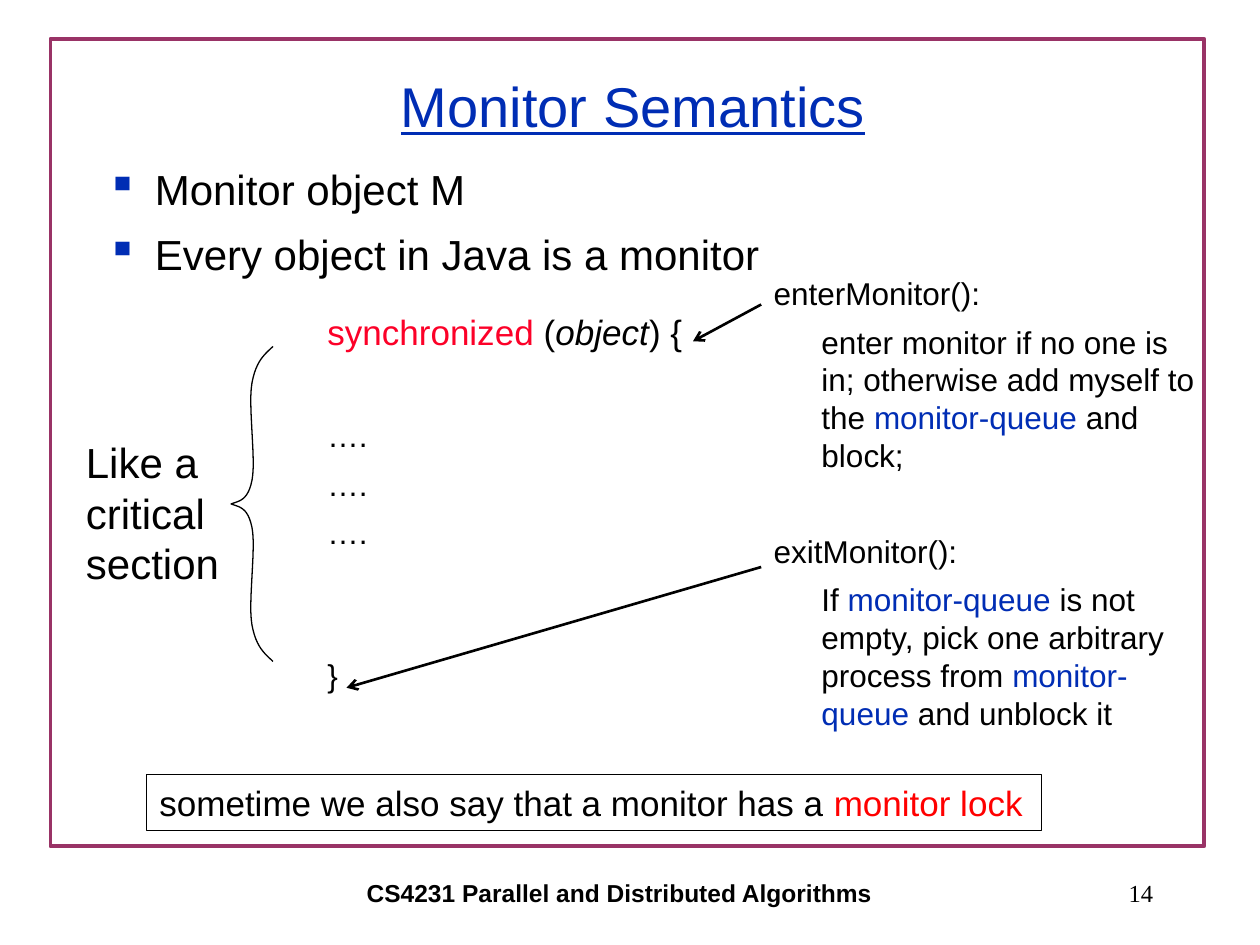
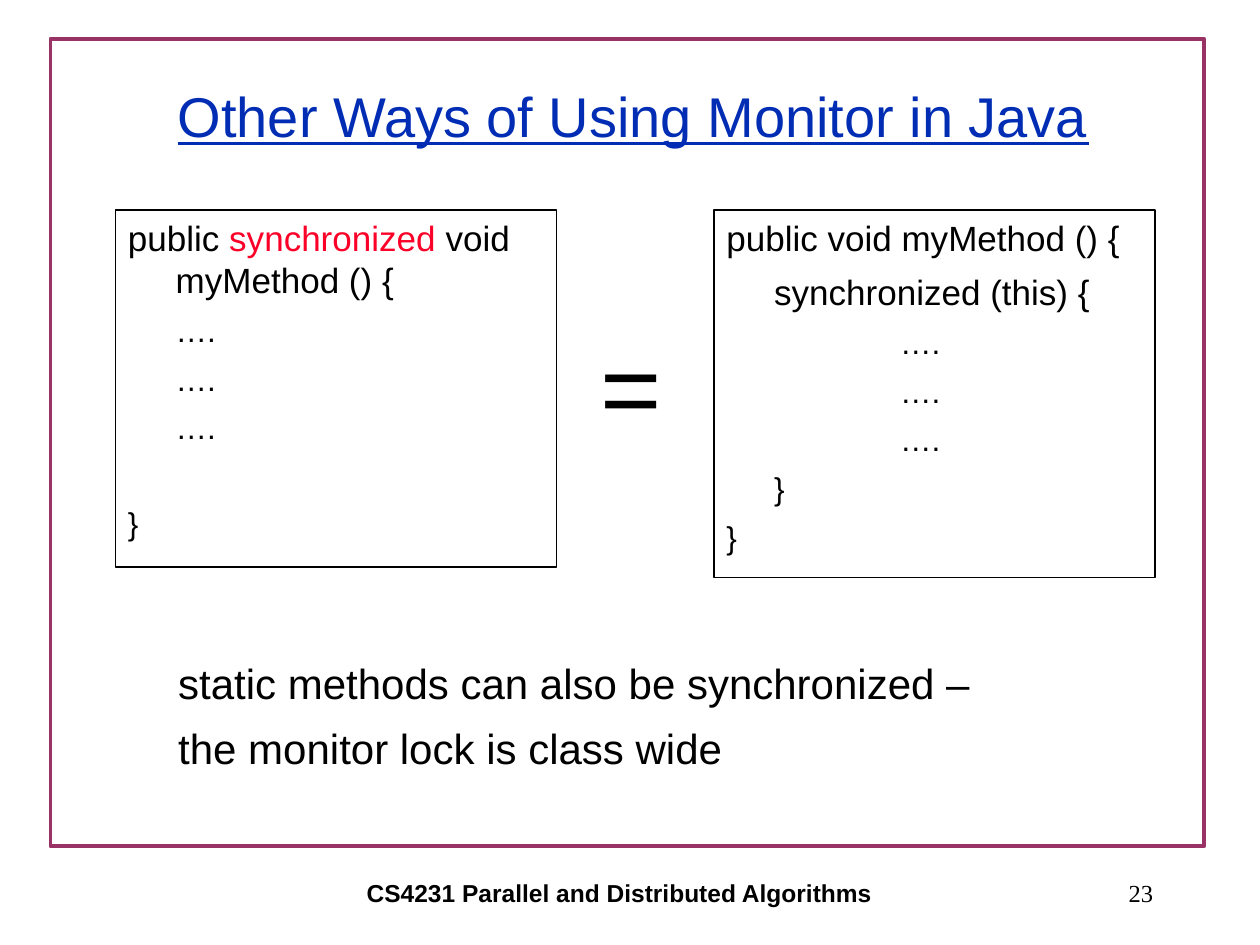
from dataclasses import dataclass

from lxml.etree import SubElement
from pptx import Presentation
from pptx.dml.color import RGBColor
from pptx.enum.shapes import MSO_CONNECTOR as Wire, MSO_SHAPE as Shape
from pptx.enum.text import MSO_ANCHOR as Anchor, PP_ALIGN as Align
from pptx.oxml.ns import qn
from pptx.util import Inches, Pt

COLS, ROWS = 120, 90
WIDTH, HEIGHT = Inches(10), Inches(7.5)
BLACK = RGBColor(0, 0, 0)
BLUE = RGBColor(0x00, 0x2D, 0xB4)
PLUM = RGBColor(0x99, 0x33, 0x66)
ROSE = RGBColor(0xFC, 0x01, 0x28)
RED = RGBColor(0xFF, 0, 0)
SANS, SERIF = "Arial", "Times New Roman"
TAB = 0.38
FRAME = (4.8, 3.7, 109.9, 76.9)
FOOTER = (17, 82, 84, 6)
NUMBER = (86, 82, 25, 6)
QUEUE = ("monitor-queue ", BLUE)
DOTS = "…."


@dataclass
class Para:
    """A paragraph: runs, size in points, indents in inches, lines skipped above."""
    runs: list
    size: float = 18
    left: float = 0
    hang: float = 0
    skip: float = 0
    bullet: str = ""
    color: RGBColor = BLACK
    face: str = SANS
    bold: bool = False
    under: bool = False
    align: Align = Align.LEFT


def x_at(col):
    """Turn a column into a length."""
    return round(WIDTH * col / COLS)


def y_at(row):
    """Turn a row into a length."""
    return round(HEIGHT * row / ROWS)


def place(box):
    """Turn a box of columns and rows into lengths."""
    left, top, width, height = box
    return x_at(left), y_at(top), x_at(width), y_at(height)


def set_para(par, item, first):
    """Write one paragraph with its indents, spacing, font and runs."""
    props = par._p.get_or_add_pPr()
    props.set("marL", str(Inches(item.left)))
    props.set("indent", str(-Inches(item.hang)))
    if item.bullet:
        SubElement(SubElement(props, qn("a:buClr")), qn("a:srgbClr"), val=str(BLUE))
        SubElement(props, qn("a:buChar"), char=item.bullet)
    par.alignment = item.align
    par.space_before = Pt(0 if first else round(item.size * (0.345 + 1.495 * item.skip), 1))
    font = par.font
    font.name, font.size, font.bold = item.face, Pt(item.size), item.bold
    font.underline = item.under
    font.color.rgb = item.color
    for part in item.runs:
        run = par.add_run()
        if isinstance(part, str):
            run.text = part
        else:
            run.text, color, *slant = part
            run.font.color.rgb = color
            if slant:
                run.font.italic = True


def fill_text(shape, items, anchor=Anchor.TOP):
    """Fill a shape with paragraphs."""
    frame = shape.text_frame
    frame.word_wrap = True
    frame.vertical_anchor = anchor
    for index, item in enumerate(items):
        par = frame.add_paragraph() if index else frame.paragraphs[0]
        set_para(par, item, index == 0)


def add_text(slide, box, items, anchor=Anchor.TOP):
    """Add a plain text box."""
    fill_text(slide.shapes.add_textbox(*place(box)), items, anchor)


def add_rect(slide, box, color, weight, items=()):
    """Add an outlined rectangle with optional text."""
    rect = slide.shapes.add_shape(Shape.RECTANGLE, *place(box))
    rect.shadow.inherit = False
    rect.fill.background()
    rect.line.color.rgb, rect.line.width = color, Pt(weight)
    fill_text(rect, items)


def add_arrow(slide, start, end):
    """Draw an open-headed arrow."""
    wire = slide.shapes.add_connector(
        Wire.STRAIGHT, x_at(start[0]), y_at(start[1]), x_at(end[0]), y_at(end[1]))
    wire.line.color.rgb, wire.line.width = BLACK, Pt(1.5)
    props = wire._element.spPr
    SubElement(props.find(qn("a:ln")), qn("a:tailEnd"), type="arrow")
    SubElement(props, qn("a:effectLst"))


def curve(knots, steps=12):
    """Sample one cubic curve, leaving out its first point."""
    for step in range(1, steps + 1):
        t = step / steps
        u = 1 - t
        shares = (u ** 3, 3 * u * u * t, 3 * u * t * t, t ** 3)
        yield tuple(sum(s * k[axis] for s, k in zip(shares, knots)) for axis in (0, 1))


def add_brace(slide, box):
    """Draw a left brace from a half curve and its mirror."""
    left, top, width, height = box
    knots = [(1, 0), (0.8, 0.05), (0.6, 0.09), (0.5, 0.23), (0.4, 0.37),
             (0.6, 0.72), (0.5, 0.85), (0.4, 0.98), (0.2, 0.98), (0, 1)]
    half = [knots[0]]
    for base in (0, 3, 6):
        half += curve(knots[base:base + 4])
    whole = half + [(x, 2 - y) for x, y in reversed(half[:-1])]
    points = [(x_at(left + x * width), y_at(top + y * height / 2)) for x, y in whole]
    pen = slide.shapes.build_freeform(*points[0])
    pen.add_line_segments(points[1:], close=False)
    brace = pen.convert_to_shape()
    brace.shadow.inherit = False
    brace.fill.background()
    brace.line.color.rgb, brace.line.width = BLACK, Pt(0.75)


def add_base(deck, title, row, number):
    """Start a slide with its frame, footer, number and title."""
    slide = deck.slides.add_slide(deck.slide_layouts[6])
    add_rect(slide, FRAME, PLUM, 2)
    for box, item in (
        (FOOTER, Para(["CS4231 Parallel and Distributed Algorithms"], 14,
                      bold=True, align=Align.CENTER)),
        (NUMBER, Para([str(number)], 14, face=SERIF, align=Align.RIGHT)),
        ((9.3, row, 102, 11), Para([title], 32, color=BLUE, under=True,
                                   align=Align.CENTER)),
    ):
        add_text(slide, box, [item], Anchor.MIDDLE)
    return slide


def add_notes(slide, box):
    """Explain entering and leaving, with arrows to the code."""
    left, top = box[:2]
    add_text(slide, box, [
        Para(["enterMonitor():"]),
        Para(["enter monitor if no one is in; otherwise add myself to the ",
              ("monitor-queue", BLUE), " and block;"], left=TAB),
        Para(["exitMonitor():"], skip=1),
        Para(["If ", QUEUE, "is not empty, pick one arbitrary process from ",
              QUEUE, "and unblock it"], left=TAB),
    ])
    for drop, (shift, fall) in ((3.5, (-6.5, 7)), (28.5, (-39.5, 40))):
        add_arrow(slide, (left, top + drop), (left + shift, top + fall))


def add_block(slide, box):
    """Show the synchronized block with its brace and label."""
    left, top, _, height = box
    add_text(slide, box, [
        Para([("synchronized", ROSE), " (", ("object", BLACK, True), ") {"], 20),
        Para([DOTS], skip=1.11), Para([DOTS]), Para([DOTS]),
        Para(["}"], skip=2),
    ])
    add_brace(slide, (left - 8, top + 4, 4, height - 14))
    add_text(slide, (left - 23, top + 12, 17.2, 15.7),
             [Para(["Like a critical section"], 24)])


def add_pair(slide, box):
    """Set two equal pieces of code side by side."""
    left, top, width, height = box
    wide = 42
    dots = [Para([DOTS], left=TAB) for _ in range(3)]
    deep = [Para([DOTS], left=1 + TAB) for _ in range(3)]
    add_rect(slide, (left, top, wide, height - 1), BLACK, 0.75, [
        Para(["public ", ("synchronized", ROSE), " void myMethod () {"], 20, TAB, TAB),
        *dots, Para(["}"], skip=1)])
    add_rect(slide, (left + width - wide, top, wide, height), BLACK, 0.75, [
        Para(["public void myMethod () {"], 20),
        Para(["synchronized (this) {"], 20, TAB),
        *deep, Para(["}"], left=TAB), Para(["}"])])
    add_text(slide, (left + 45, top + 10, 8.3, 13.2), [Para(["="], 60)])


def semantics(deck):
    """Build the slide on monitor semantics."""
    slide = add_base(deck, "Monitor Semantics", 4.55, 14)
    add_text(slide, (9, 15, 104, 64.3), [
        Para([line], 24, TAB, TAB, bullet="▪")
        for line in ("Monitor object M", "Every object in Java is a monitor")])
    add_notes(slide, (72.5, 25.5, 43, 44))
    add_block(slide, (30, 29, 37, 44))
    add_rect(slide, (14, 73.8, 85.2, 5.3), BLACK, 0.5, [
        Para(["sometime we also say that a monitor has a ", ("monitor lock", RED)], 20)])


def others(deck):
    """Build the slide on other ways of using a monitor."""
    slide = add_base(deck, "Other Ways of Using Monitor in Java", 5.5, 23)
    add_pair(slide, (11, 20, 99, 35))
    add_text(slide, (15.8, 62, 79, 12.2), [
        Para([line], 24) for line in ("static methods can also be synchronized –",
                                      "the monitor lock is class wide")])


def main():
    """Build and save the deck."""
    deck = Presentation()
    deck.slide_width, deck.slide_height = WIDTH, HEIGHT
    semantics(deck)
    others(deck)
    deck.save("out.pptx")


if __name__ == "__main__":
    main()
